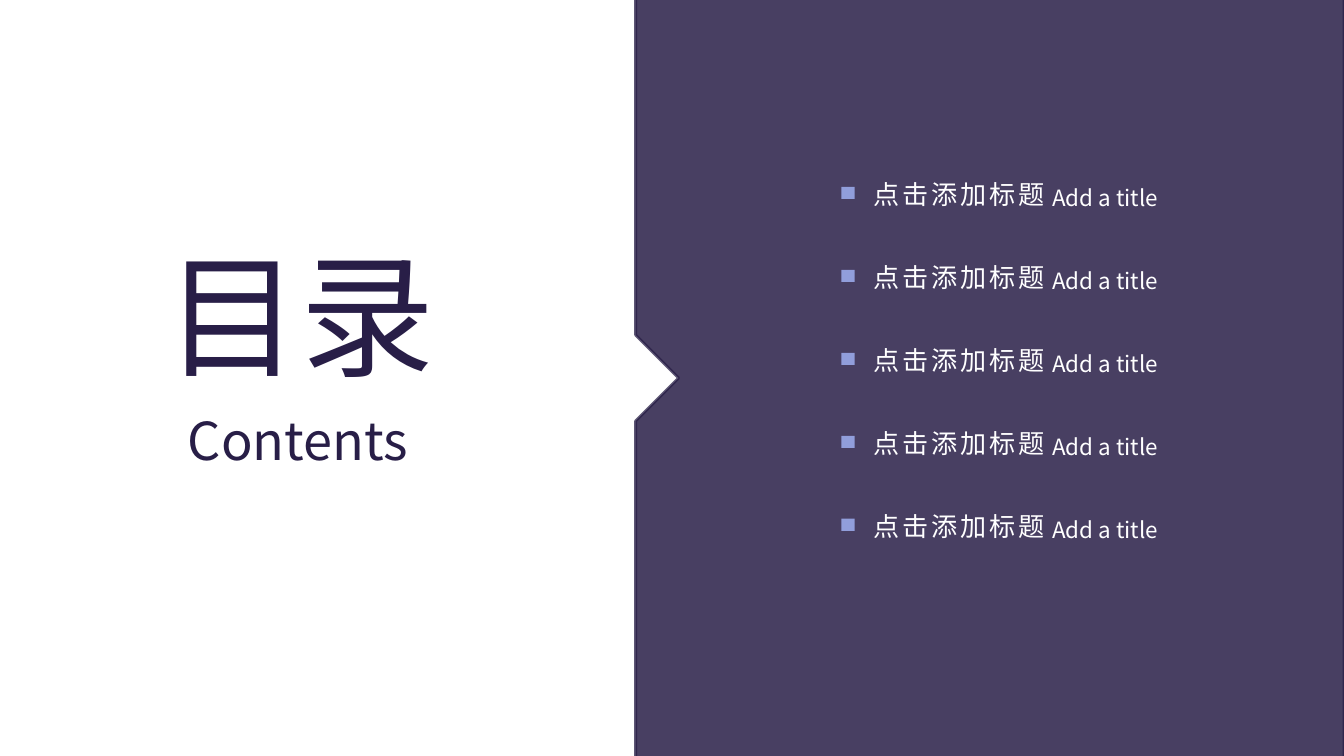
from lxml import etree
from pptx import Presentation
from pptx.dml.color import RGBColor
from pptx.enum.shapes import MSO_SHAPE
from pptx.enum.text import MSO_ANCHOR, MSO_AUTO_SIZE, PP_ALIGN
from pptx.oxml.ns import qn
from pptx.util import Inches, Pt

RECTANGLE = MSO_SHAPE.RECTANGLE
TOP = MSO_ANCHOR.TOP
GROW = MSO_AUTO_SIZE.SHAPE_TO_FIT_TEXT
JUSTIFY = PP_ALIGN.JUSTIFY

FONT = "Noto Sans CJK SC"
DARK, WHITE, MARKER = "281E47", "FFFFFF", "919EDB"
WIDTH = 10
HEIGHT = WIDTH * 9 / 16

TITLE, SUBTITLE = "目录", "Contents"
ENTRIES = [("点击添加标题", "Add a title")] * 5
FIRST_TOP, LAST_TOP = 1.3, 3.77
ROW_STEP = (LAST_TOP - FIRST_TOP) / (len(ENTRIES) - 1)

PANEL_LEFT, PANEL_TOP, PANEL_BOTTOM = 4.73, -2.25, 7.87
NOTCH = 0.32
MIDDLE = HEIGHT / 2
PANEL = [
    (WIDTH, PANEL_BOTTOM),
    (WIDTH, PANEL_TOP),
    (PANEL_LEFT, PANEL_TOP),
    (PANEL_LEFT, MIDDLE - NOTCH),
    (PANEL_LEFT + NOTCH, MIDDLE),
    (PANEL_LEFT, MIDDLE + NOTCH),
    (PANEL_LEFT, PANEL_BOTTOM),
]


def paint(color_format, color):
    color_format.rgb = RGBColor.from_string(color)


def set_opacity(fill_parent, percent):
    color = fill_parent.find(qn("a:solidFill"))[0]
    etree.SubElement(color, qn("a:alpha"), val=str(percent * 1000))


def write(shape, text, size, color, spacing=0, line_spacing=None, left_inset=0.1):
    frame = shape.text_frame
    frame.word_wrap = True
    frame.auto_size = GROW
    frame.vertical_anchor = TOP
    frame.margin_left = Inches(left_inset)
    paragraph = frame.paragraphs[0]
    paragraph.alignment = JUSTIFY
    if line_spacing:
        paragraph.line_spacing = Pt(line_spacing)
    run = paragraph.add_run()
    run.text = text
    run.font.size = Pt(size)
    paint(run.font.color, color)
    run.font.name = FONT
    properties = run.font._element
    etree.SubElement(properties, qn("a:ea"), typeface=FONT)
    if spacing:
        properties.set("spc", str(round(spacing * 100)))


def box(*lengths):
    return [Inches(length) for length in lengths]


def add_panel(slide):
    start, *corners = [box(*point) for point in PANEL]
    builder = slide.shapes.build_freeform(*start)
    builder.add_line_segments(corners, close=True)
    panel = builder.convert_to_shape()
    panel.shadow.inherit = False
    panel.fill.solid()
    paint(panel.fill.fore_color, DARK)
    set_opacity(panel._element.spPr, 85)
    panel.line.width = Pt(1.5)
    paint(panel.line.color, DARK)
    set_opacity(panel._element.spPr.find(qn("a:ln")), 75)


def add_entry(slide, top, chinese, english):
    group = slide.shapes.add_group_shape()
    row_format = {"color": WHITE, "line_spacing": 15, "left_inset": 0.08}
    english_box = group.shapes.add_textbox(*box(7.75, top + 0.01, 1.28, 0.31))
    write(english_box, english, size=12, **row_format)
    chinese_box = group.shapes.add_textbox(*box(6.42, top, 1.49, 0.52))
    write(chinese_box, chinese, size=14, spacing=1.5, **row_format)
    marker = group.shapes.add_shape(RECTANGLE, *box(6.26, top + 0.09, 0.1, 0.09))
    marker.shadow.inherit = False
    marker.fill.solid()
    paint(marker.fill.fore_color, MARKER)
    marker.line.fill.background()


def main():
    presentation = Presentation()
    presentation.slide_width, presentation.slide_height = box(WIDTH, HEIGHT)
    slide = presentation.slides.add_slide(presentation.slide_layouts[5])
    add_panel(slide)

    title = slide.shapes.title
    title.left, title.top, title.width, title.height = box(1.13, 1.68, 2.51, 1.31)
    write(title, TITLE, size=72, color=DARK, spacing=0.3)
    subtitle = slide.shapes.add_textbox(*box(1.3, 2.99, 2.34, 0.57))
    write(subtitle, SUBTITLE, size=28, color=DARK)

    for index, (chinese, english) in enumerate(ENTRIES):
        add_entry(slide, FIRST_TOP + index * ROW_STEP, chinese, english)
    presentation.save("out.pptx")


if __name__ == "__main__":
    main()
